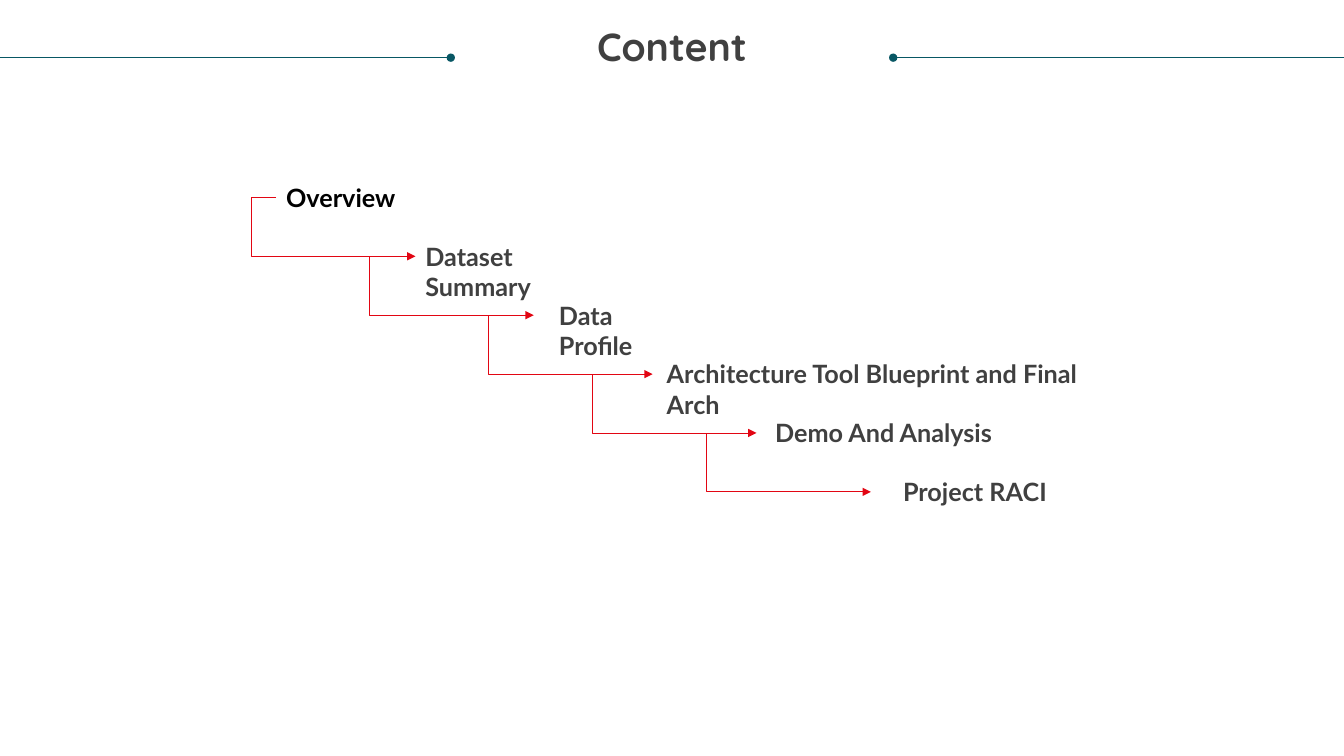
"""Builds the Content slide: a heading between two rules and a staircase of topics."""
from pptx import Presentation
from pptx import util as u
from pptx.dml.color import RGBColor
from pptx.enum import shapes, text
from pptx.oxml.ns import qn
from lxml import etree

TEAL = RGBColor(0x08, 0x57, 0x64)
RED = RGBColor(0xE2, 0x06, 0x13)
GREY = RGBColor(0x40, 0x40, 0x40)
BLACK = RGBColor(0, 0, 0)

TITLE = "Content"
WIDTH, HEIGHT = 960, 540
RULE_Y = 41.2
RULES = [(WIDTH, 638), (0, 322)]

# label, left, width, colour
TOPICS = [
    ("Overview", 197.3, 94.3, BLACK),
    ("Dataset Summary", 296.8, 154.6, GREY),
    ("Data Profile", 392.2, 106, GREY),
    ("Architecture Tool Blueprint and Final Arch", 469.2, 344, GREY),
    ("Demo And Analysis", 546.6, 328.3, GREY),
    ("Project RACI", 638, 134.6, GREY),
]
ARROW_LEFTS = [197.3, 281.8, 366.7, 440.9, 522.6]
ARROW_WIDTH = 99.5
FIRST_TOP, STEP, LABEL_HEIGHT = 126.5, 42.05, 29.1
ELBOW_BEND = -18100


def add_label(s, words, box, size, font, colour):
    sp = s.shapes.add_textbox(*map(u.Pt, box))
    tf = sp.text_frame
    tf.word_wrap = True
    p = tf.paragraphs[0]
    r = p.add_run()
    r.text = words
    r.font.size = u.Pt(size)
    r.font.name = font
    r.font.bold = True
    r.font.color.rgb = colour
    return tf


def add_line(s, kind, ends, colour, tail):
    sp = s.shapes.add_connector(kind, *map(u.Pt, ends))
    sp.line.color.rgb = colour
    sp.line.width = u.Pt(0.5)
    etree.SubElement(sp.line._get_or_add_ln(), qn("a:tailEnd")).set("type", tail)
    etree.SubElement(sp._element.spPr, qn("a:effectLst"))
    return sp


def main():
    prs = Presentation()
    prs.slide_width, prs.slide_height = u.Pt(WIDTH), u.Pt(HEIGHT)
    s = prs.slides.add_slide(prs.slide_layouts[6])

    for start, end in RULES:
        add_line(s, shapes.MSO_CONNECTOR.STRAIGHT,
                 (start, RULE_Y, end, RULE_Y), TEAL, "oval")

    tf = add_label(s, TITLE, (18, 19.4, 924, 61.2), 28, "Quicksand", GREY)
    tf.margin_left = tf.margin_right = tf.margin_top = tf.margin_bottom = 0
    tf.paragraphs[0].alignment = text.PP_ALIGN.CENTER
    tf.paragraphs[0].line_spacing = 0.9

    for i, (words, left, width, colour) in enumerate(TOPICS):
        box = (left, FIRST_TOP + i * STEP, width, LABEL_HEIGHT)
        add_label(s, words, box, 18, "Lato", colour)

    for i, left in enumerate(ARROW_LEFTS):
        y = FIRST_TOP + LABEL_HEIGHT / 2 + i * STEP
        sp = add_line(s, shapes.MSO_CONNECTOR.ELBOW,
                      (left, y, left + ARROW_WIDTH, y + STEP), RED, "triangle")
        guides = sp._element.spPr.find(qn("a:prstGeom")).get_or_add_avLst()
        bend = etree.SubElement(guides, qn("a:gd"))
        bend.set("name", "adj1")
        bend.set("fmla", f"val {ELBOW_BEND}")

    prs.save("out.pptx")


if __name__ == "__main__":
    main()
